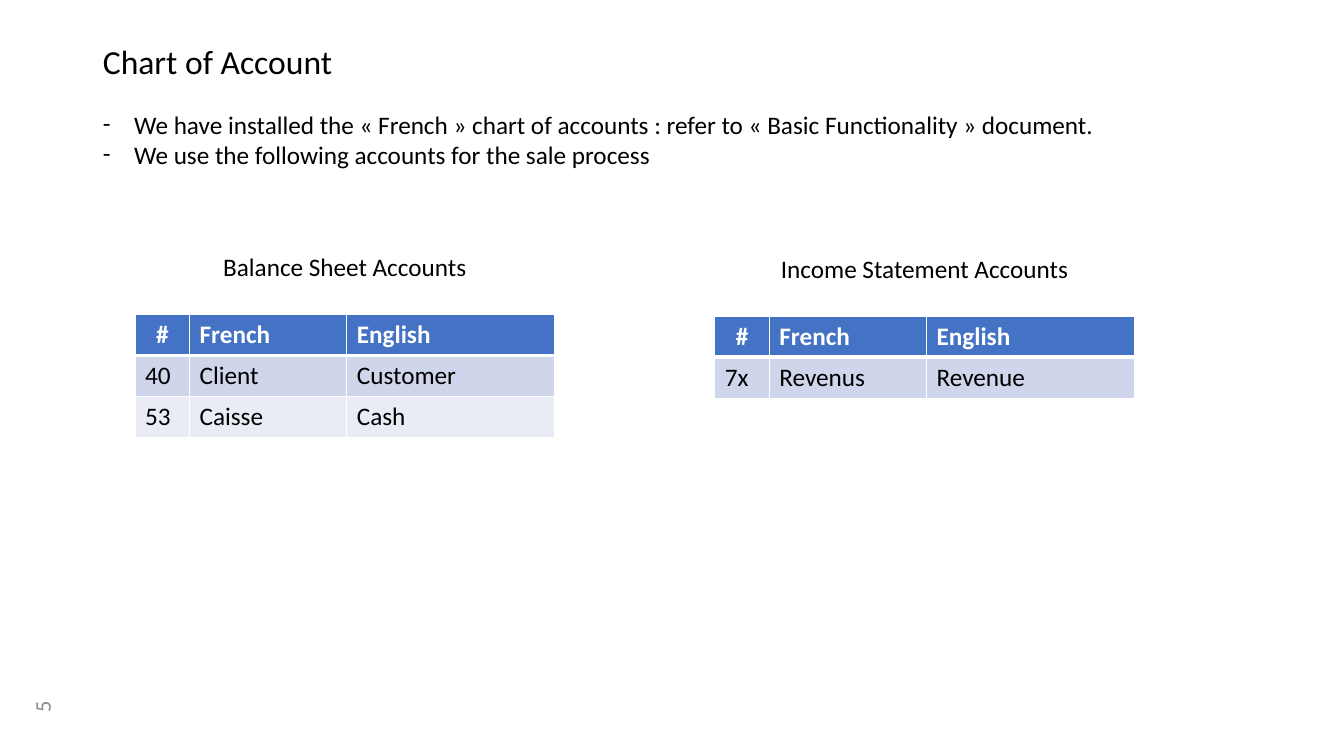
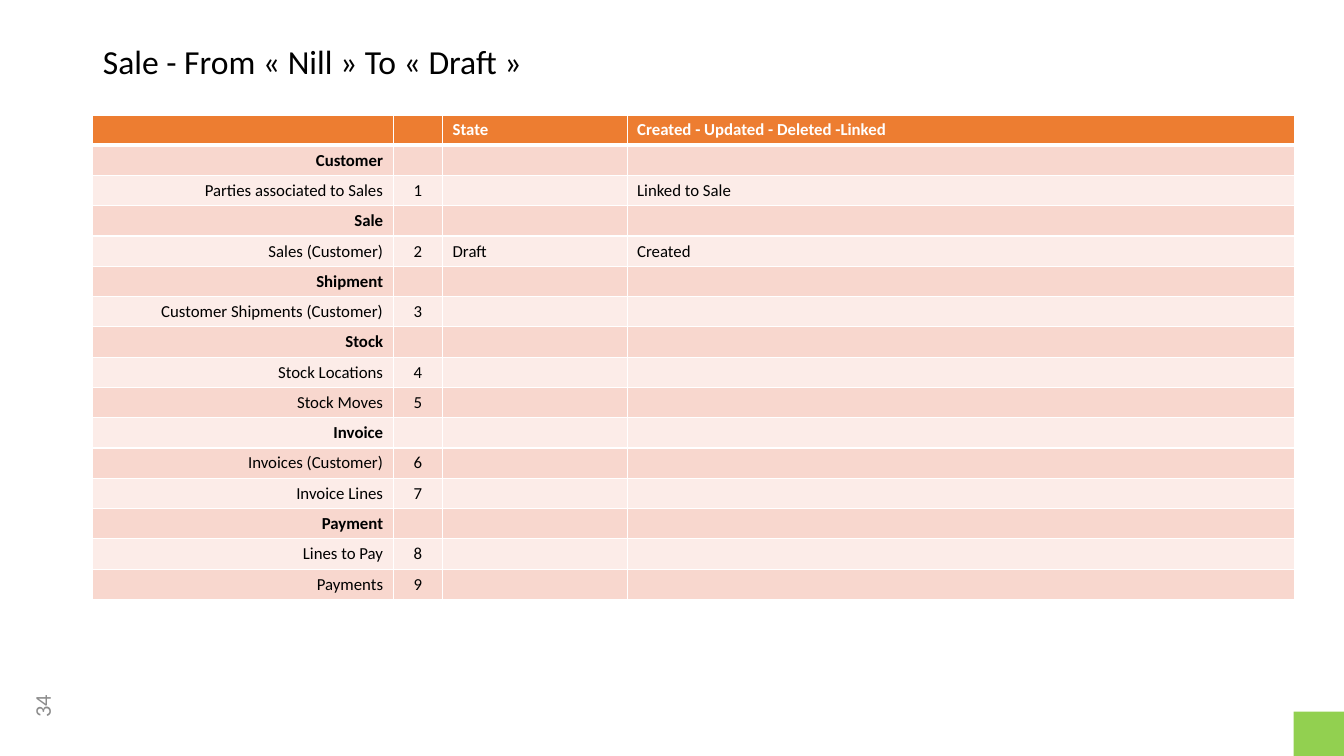
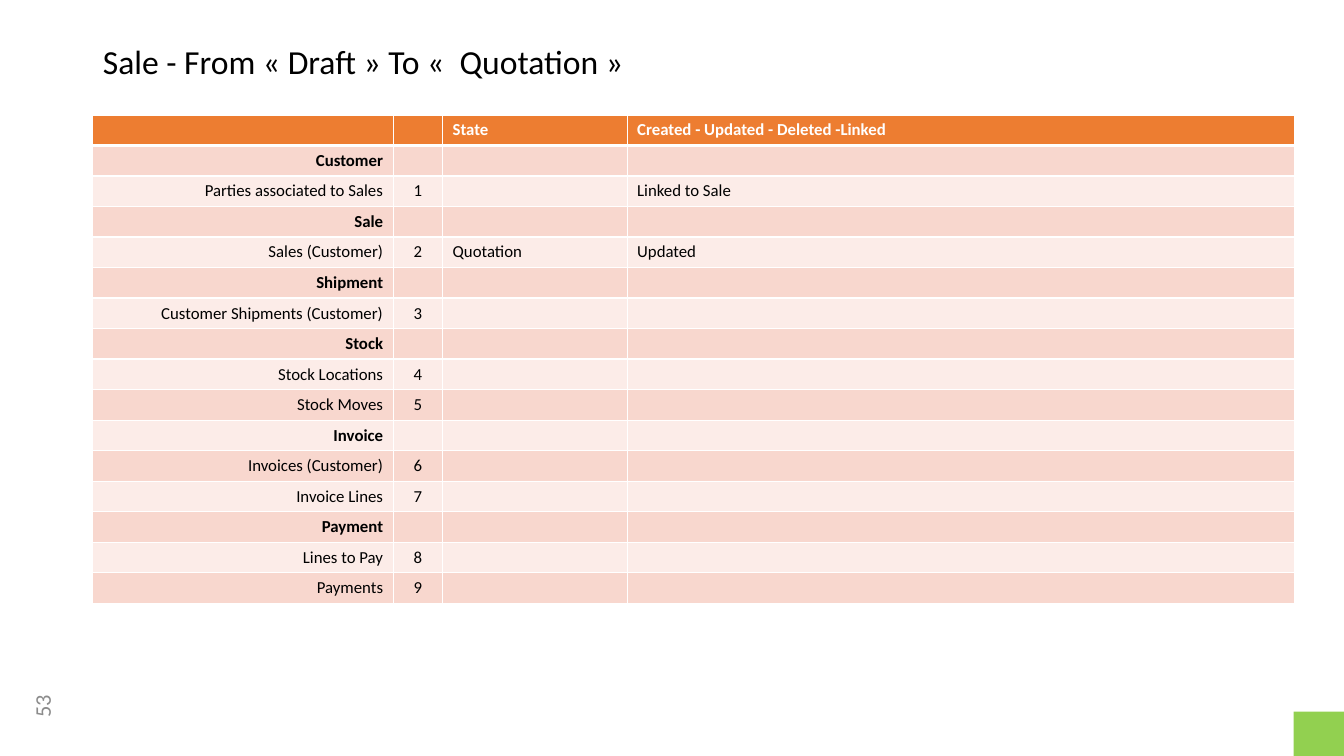
from lxml.etree import SubElement
from pptx import Presentation
from pptx.dml.color import RGBColor
from pptx.enum.shapes import MSO_SHAPE
from pptx.enum.text import MSO_ANCHOR, MSO_AUTO_SIZE, PP_ALIGN
from pptx.oxml.ns import qn
from pptx.util import Pt

PX = 9144  # 100 px to the inch
FONT = "Calibri"
BLACK, WHITE, GREY, GREEN = "000000", "FFFFFF", "8C8C8C", "92D050"
BLUE_FILLS = ("4472C4", "CFD5EA", "E9EBF5")
ORANGE_FILLS = ("ED7D31", "F8D7CE", "FCECE8")
LEFT, CENTER, RIGHT = PP_ALIGN.LEFT, PP_ALIGN.CENTER, PP_ALIGN.RIGHT


def add_run(paragraph, text, size, color=BLACK, bold=False):
    run = paragraph.add_run()
    run.text = text
    run.font.name = FONT
    run.font.size = Pt(size)
    run.font.bold = bold
    run.font.color.rgb = RGBColor.from_string(color)


def add_grid(slide, left, top, height, widths, rows, fills, size, alignments):
    """Add a table; fills are header, odd and even rows, alignments are header and body."""
    table = slide.shapes.add_table(
        len(rows), len(widths), left * PX, top * PX, sum(widths) * PX, height * PX
    ).table
    for column, width in zip(table.columns, widths):
        column.width = width * PX
    for row_index, row in enumerate(rows):
        is_header = row_index == 0
        table.rows[row_index].height = height * PX // len(rows)
        fill = fills[0] if is_header else fills[2 - row_index % 2]
        is_bold = is_header or not row[1]
        for column_index, text in enumerate(row):
            cell = table.cell(row_index, column_index)
            borders = {"a:lnL": 1, "a:lnR": 1,
                       "a:lnT": 3 if row_index == 1 else 1,
                       "a:lnB": 3 if is_header else 1}
            properties = cell._tc.get_or_add_tcPr()
            for tag, points in borders.items():
                line = SubElement(properties, qn(tag), w=str(Pt(points)))
                solid = SubElement(line, qn("a:solidFill"))
                SubElement(solid, qn("a:srgbClr"), val=WHITE)
            cell.fill.solid()
            cell.fill.fore_color.rgb = RGBColor.from_string(fill)
            paragraph = cell.text_frame.paragraphs[0]
            paragraph.alignment = alignments[0 if is_header else 1][column_index]
            if text:
                add_run(paragraph, text, size, WHITE if is_header else BLACK, is_bold)
            else:
                SubElement(paragraph._p, qn("a:endParaRPr"), sz=str(size * 100))


presentation = Presentation()
presentation.slide_width = 1333 * PX
presentation.slide_height = 750 * PX
TITLE_AND_BODY, TITLE_ONLY = presentation.slide_layouts[1], presentation.slide_layouts[5]

# Titles and page numbers
slides = []
for layout, title_text, page_number in (
    (TITLE_AND_BODY, "Chart of Account", "5"),
    (TITLE_ONLY, "Sale - From « Nill » To « Draft »", "34"),
    (TITLE_ONLY, "Sale - From « Draft » To «  Quotation »", "53"),
):
    slide = presentation.slides.add_slide(layout)
    slides.append(slide)
    title = slide.shapes.title
    title.left, title.top, title.width, title.height = 92 * PX, 40 * PX, 1150 * PX, 51 * PX
    title.text_frame.auto_size = MSO_AUTO_SIZE.NONE
    title.text_frame.vertical_anchor = MSO_ANCHOR.TOP
    paragraph = title.text_frame.paragraphs[0]
    paragraph.alignment = LEFT
    paragraph.line_spacing = 0.9
    add_run(paragraph, title_text, 24)

    number_box = slide.shapes.add_textbox(4 * PX, 681 * PX, 75 * PX, 40 * PX)
    number_box.rotation = 270
    number_box.text_frame.word_wrap = True
    number_box.text_frame.vertical_anchor = MSO_ANCHOR.MIDDLE
    paragraph = number_box.text_frame.paragraphs[0]
    paragraph.alignment = CENTER
    add_run(paragraph, page_number, 16, GREY)

# Chart of accounts
accounts_slide = slides[0]
body = accounts_slide.placeholders[1]
body.left, body.top, body.width, body.height = 92 * PX, 103 * PX, 1096 * PX, 71 * PX
body.text_frame.auto_size = MSO_AUTO_SIZE.SHAPE_TO_FIT_TEXT
for index, text in enumerate((
    "We have installed the « French » chart of accounts : refer to « Basic Functionality » document.",
    "We use the following accounts for the sale process",
)):
    paragraph = body.text_frame.add_paragraph() if index else body.text_frame.paragraphs[0]
    properties = paragraph._p.get_or_add_pPr()
    properties.set("marL", str(31 * PX))
    properties.set("indent", str(-31 * PX))
    SubElement(properties, qn("a:buFont"), typeface=FONT)
    SubElement(properties, qn("a:buChar"), char="-")
    paragraph.space_before = Pt(0)
    add_run(paragraph, text, 18)

ACCOUNT_HEADER = ("#", "French", "English")
for heading, left, heading_top, table_top, height, accounts in (
    ("Balance Sheet Accounts", 134, 244, 312, 122,
     [("40", "Client", "Customer"), ("53", "Caisse", "Cash")]),
    ("Income Statement Accounts", 709, 246, 314, 81,
     [("7x", "Revenus", "Revenue")]),
):
    add_grid(accounts_slide, left, table_top, height, (54, 156, 206),
             [ACCOUNT_HEADER, *accounts], BLUE_FILLS, 18,
             ((CENTER, LEFT, LEFT), (LEFT, LEFT, LEFT)))
    heading_box = accounts_slide.shapes.add_textbox(left * PX, heading_top * PX, 416 * PX, 40 * PX)
    heading_box.text_frame.word_wrap = True
    paragraph = heading_box.text_frame.paragraphs[0]
    paragraph.alignment = CENTER
    add_run(paragraph, heading, 18)

# Sale transitions
SALE_HEADER = ("", "", "State", "Created - Updated - Deleted -Linked")
SALE_GROUPS = {
    "Customer": ["Parties associated to Sales"],
    "Sale": ["Sales (Customer)"],
    "Shipment": ["Customer Shipments (Customer)"],
    "Stock": ["Stock Locations", "Stock Moves"],
    "Invoice": ["Invoices (Customer)", "Invoice Lines"],
    "Payment": ["Lines to Pay", "Payments"],
}
SALE_ALIGNMENT = (RIGHT, CENTER, LEFT, LEFT)
for slide, table_height, state, action in (
    (slides[1], 480, "Draft", "Created"),
    (slides[2], 485, "Quotation", "Updated"),
):
    changes = {
        "Parties associated to Sales": ("", "Linked to Sale"),
        "Sales (Customer)": (state, action),
    }
    rows = [SALE_HEADER]
    item_number = 0
    for group, items in SALE_GROUPS.items():
        rows.append((group, "", "", ""))
        for item in items:
            item_number += 1
            rows.append((item, str(item_number), *changes.get(item, ("", ""))))
    add_grid(slide, 92, 114, table_height, (298, 49, 183, 662), rows, ORANGE_FILLS, 12,
             (SALE_ALIGNMENT, SALE_ALIGNMENT))

    corner = slide.shapes.add_shape(MSO_SHAPE.RECTANGLE, 1283 * PX, 706 * PX, 50 * PX, 44 * PX)
    corner.shadow.inherit = False
    corner.fill.solid()
    corner.fill.fore_color.rgb = RGBColor.from_string(GREEN)
    corner.line.fill.background()

presentation.save("out.pptx")
